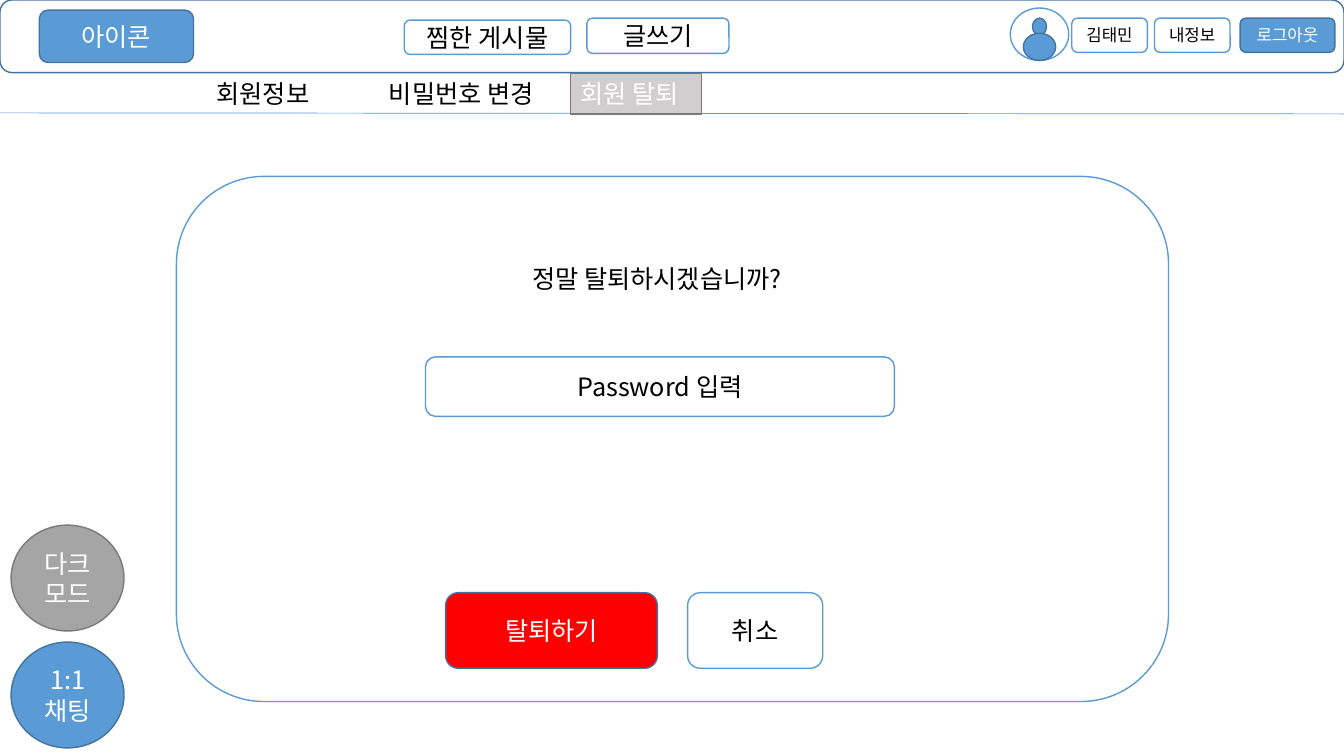
from dataclasses import dataclass

from lxml.etree import SubElement
from pptx import Presentation
from pptx.dml.color import RGBColor
from pptx.enum.shapes import MSO_CONNECTOR, MSO_SHAPE
from pptx.enum.text import MSO_ANCHOR, MSO_AUTO_SIZE, PP_ALIGN
from pptx.oxml.ns import qn
from pptx.util import Inches, Pt


@dataclass(frozen=True)
class Look:
    fill: str | None
    line: str | None
    text: str


@dataclass(frozen=True)
class Theme:
    font: str = "Noto Sans CJK KR"
    body: int = 18
    small: int = 12
    border: float = 1
    divider: float = 0.5
    blue: str = "5B9BD5"
    solid: Look = Look("5B9BD5", "43739E", "FFFFFF")
    outline: Look = Look("FFFFFF", "5B9BD5", "000000")
    header: Look = Look("FFFFFF", "43739E", "000000")
    danger: Look = Look("FF0000", "43739E", "FFFFFF")
    dark: Look = Look("A5A5A5", "7A7A7A", "FFFFFF")
    active: Look = Look("D0CECE", "7A7A7A", "FFFFFF")
    plain: Look = Look(None, None, "000000")


THEME = Theme()
ROUNDED = MSO_SHAPE.ROUNDED_RECTANGLE
OVAL = MSO_SHAPE.OVAL


def write_text(shape, text, color, size):
    shape.text_frame.text = text
    for para in shape.text_frame.paragraphs:
        for span in para.runs:
            span.font.size = Pt(size)
            span.font.name = THEME.font
            span.font.color.rgb = RGBColor.from_string(color)
            east_asian = SubElement(span.font._element, qn("a:ea"))
            east_asian.set("typeface", THEME.font)


def paint(shape, look):
    shape.shadow.inherit = False
    if look.fill:
        shape.fill.solid()
        shape.fill.fore_color.rgb = RGBColor.from_string(look.fill)
    else:
        shape.fill.background()
    if look.line:
        shape.line.color.rgb = RGBColor.from_string(look.line)
        shape.line.width = Pt(THEME.border)
    else:
        shape.line.fill.background()


def add_box(page, kind, bounds, look, text="", size=THEME.body):
    """Add a preset shape with centred text."""
    box = page.shapes.add_shape(kind, *map(Inches, bounds))
    paint(box, look)
    if text:
        write_text(box, text, look.text, size)
        box.text_frame.word_wrap = True
        box.text_frame.vertical_anchor = MSO_ANCHOR.MIDDLE
        for para in box.text_frame.paragraphs:
            para.alignment = PP_ALIGN.CENTER
    return box


def add_label(page, bounds, look, text):
    """Add a text box that fits one unwrapped line."""
    label = page.shapes.add_textbox(*map(Inches, bounds))
    if look.fill:
        label.fill.solid()
        label.fill.fore_color.rgb = RGBColor.from_string(look.fill)
        label.line.color.rgb = RGBColor.from_string(look.line)
        label.line.width = Pt(THEME.border)
    write_text(label, text, look.text, THEME.body)
    label.text_frame.word_wrap = False
    label.text_frame.auto_size = MSO_AUTO_SIZE.SHAPE_TO_FIT_TEXT


def add_divider(page, start, end):
    divider = page.shapes.add_connector(
        MSO_CONNECTOR.STRAIGHT, *map(Inches, (*start, *end)))
    divider.line.color.rgb = RGBColor.from_string(THEME.blue)
    divider.line.width = Pt(THEME.divider)
    SubElement(divider._element.spPr, qn("a:effectLst"))


def add_header(page):
    add_box(page, ROUNDED, (0, 0, 13.33, 0.72), THEME.header)
    add_box(page, ROUNDED, (0.39, 0.1, 1.53, 0.52), THEME.solid, "아이콘")
    add_box(page, ROUNDED, (4.01, 0.2, 1.65, 0.34), THEME.outline, "찜한 게시물")
    add_box(page, ROUNDED, (5.82, 0.18, 1.41, 0.35), THEME.outline, "글쓰기")
    account_buttons = [
        (10.63, 0.75, THEME.outline, "김태민"),
        (11.45, 0.75, THEME.outline, "내정보"),
        (12.3, 0.94, THEME.solid, "로그아웃"),
    ]
    for left, width, look, text in account_buttons:
        add_box(page, ROUNDED, (left, 0.18, width, 0.34), look, text, THEME.small)


def add_avatar(page):
    add_box(page, OVAL, (10.02, 0.08, 0.58, 0.52), THEME.outline)
    add_box(page, OVAL, (10.24, 0.18, 0.14, 0.17), THEME.solid)
    add_box(page, OVAL, (10.15, 0.33, 0.32, 0.27), THEME.solid)


def add_tabs(page):
    add_divider(page, (0, 1.12), (13.33, 1.13))
    add_label(page, (2.05, 0.73, 1.21, 0.4), THEME.plain, "회원정보")
    add_box(page, ROUNDED, (3.65, 0.73, 1.85, 0.39), THEME.plain, "비밀번호 변경")
    add_label(page, (5.66, 0.73, 1.3, 0.4), THEME.active, "회원 탈퇴")


def add_withdrawal_panel(page):
    add_box(page, ROUNDED, (1.75, 1.75, 9.84, 5.21), THEME.outline)
    add_label(page, (5.18, 2.56, 2.93, 0.4), THEME.plain, "정말 탈퇴하시겠습니까?")
    add_box(page, ROUNDED, (4.22, 3.54, 4.65, 0.59), THEME.outline, "Password 입력")
    add_box(page, ROUNDED, (4.42, 5.88, 2.1, 0.75), THEME.danger, "탈퇴하기")
    add_box(page, ROUNDED, (6.82, 5.88, 1.34, 0.75), THEME.outline, "취소")


def add_floating_buttons(page):
    buttons = [(5.21, THEME.dark, "다크모드"), (6.37, THEME.solid, "1:1 채팅")]
    for top, look, text in buttons:
        add_box(page, OVAL, (0.11, top, 1.12, 1.05), look, text)


def main():
    deck = Presentation()
    deck.slide_width = Inches(13.33)
    deck.slide_height = Inches(7.5)
    page = deck.slides.add_slide(deck.slide_layouts[6])
    add_header(page)
    add_avatar(page)
    add_tabs(page)
    add_withdrawal_panel(page)
    add_floating_buttons(page)
    deck.save("out.pptx")


if __name__ == "__main__":
    main()
